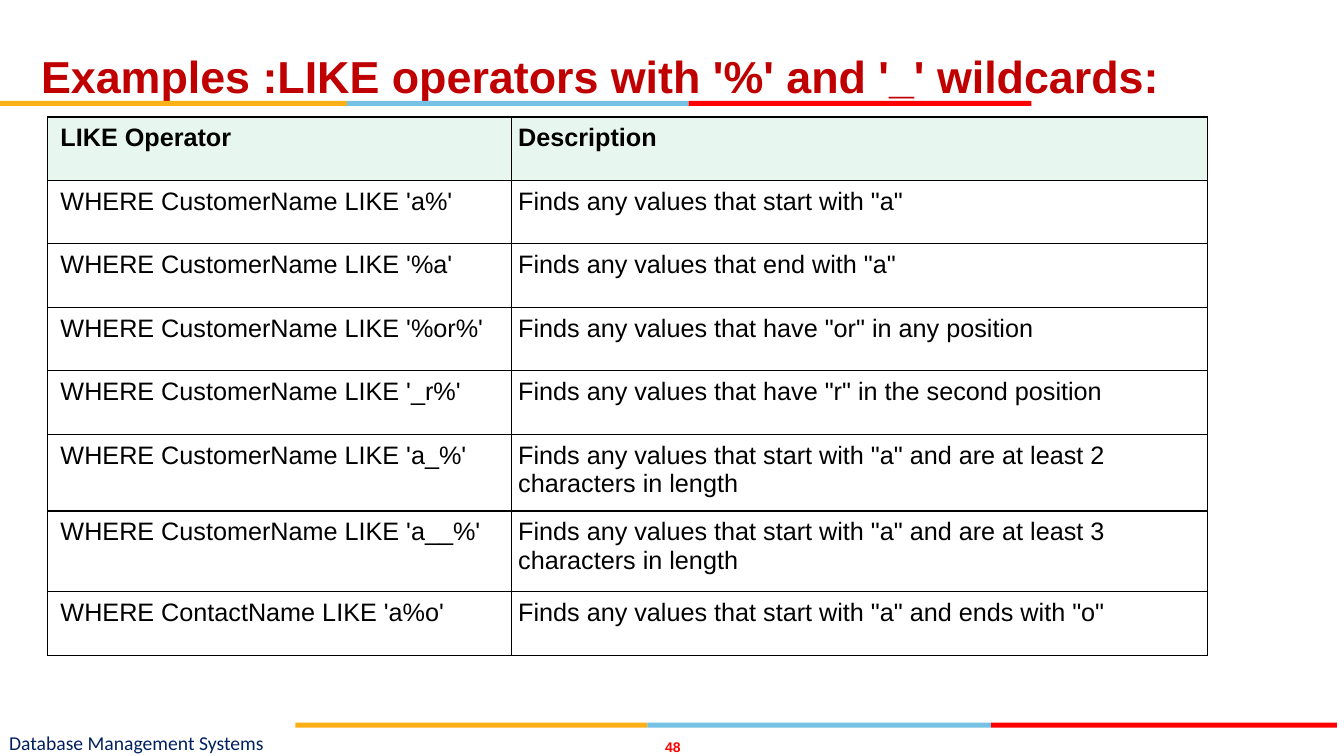
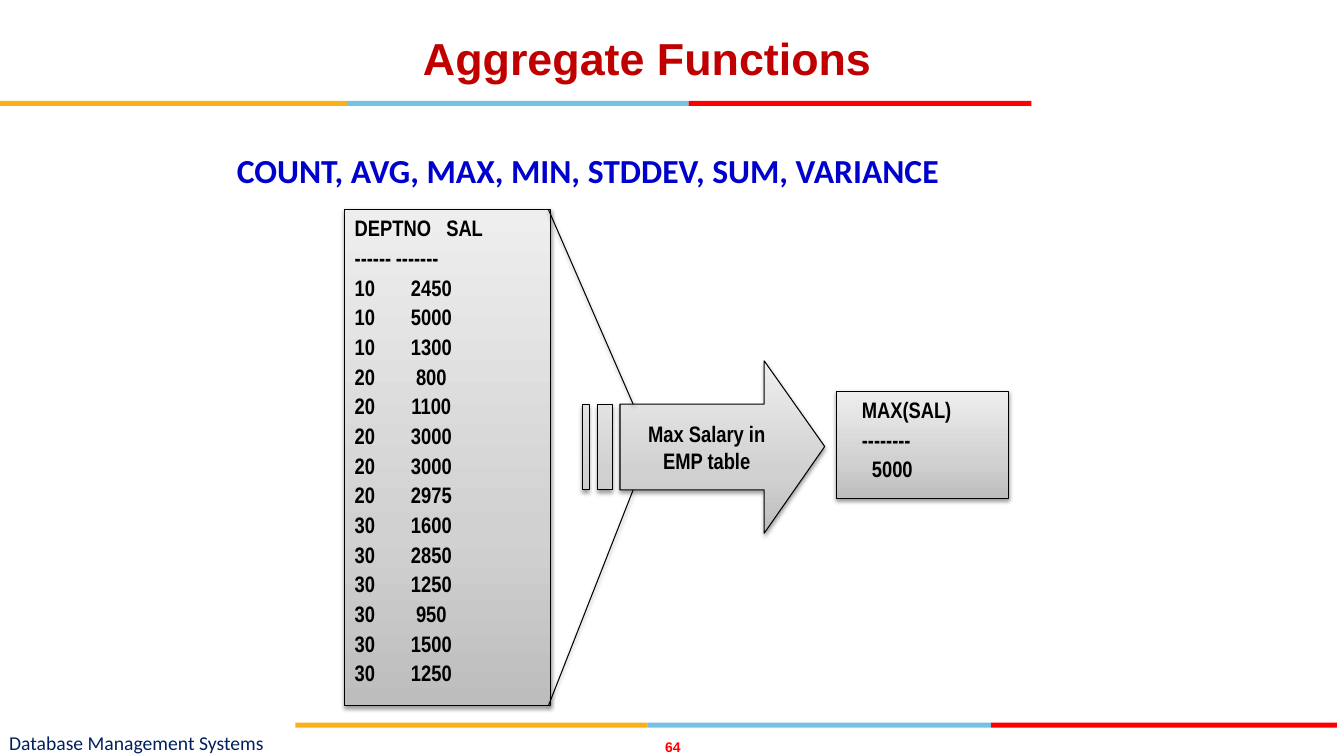
from copy import deepcopy

from pptx import Presentation
from pptx.dml.color import RGBColor
from pptx.enum.shapes import MSO_CONNECTOR, MSO_SHAPE
from pptx.enum.text import MSO_ANCHOR, PP_ALIGN
from pptx.oxml import parse_xml
from pptx.oxml.ns import nsdecls, qn
from pptx.util import Inches, Pt

AMBER = RGBColor(0xFC, 0xB0, 0x17)
SKY = RGBColor(0x76, 0xC2, 0xE5)
RED = RGBColor(0xFF, 0x00, 0x00)
CRIMSON = RGBColor(0xC0, 0x00, 0x00)
NAVY = RGBColor(0x00, 0x20, 0x60)
BLUE = RGBColor(0x00, 0x00, 0xCC)
BLACK = RGBColor(0x00, 0x00, 0x00)
WHITE = RGBColor(0xFF, 0xFF, 0xFF)
MINT = RGBColor(0xE7, 0xF6, 0xEF)
GREYS = (
    (0, RGBColor(0xBD, 0xBD, 0xBD)),
    (0.35, RGBColor(0xD1, 0xD1, 0xD1)),
    (1, RGBColor(0xEE, 0xEE, 0xEE)),
)

TITLE = {"name": "Arial", "size": Pt(32), "bold": True}
PAGE = {"name": "Arial", "size": Pt(10), "bold": True}
FOOT = {"name": "Calibri", "size": Pt(14), "bold": False}
LEAD = {"name": "Calibri", "size": Pt(24), "bold": True}
HEAD = {"name": "Arial", "size": Pt(18), "bold": True}
BODY = {"name": "Arial", "size": Pt(18), "bold": False}
DATA = {"name": "Arial Narrow", "size": Pt(16), "bold": True}

SHADOW = (
    f'<a:effectLst {nsdecls("a")}><a:outerShdw blurRad="39400" dist="20300" '
    'dir="5400000" rotWithShape="0"><a:srgbClr val="000000">'
    '<a:alpha val="38000"/></a:srgbClr></a:outerShdw></a:effectLst>'
)


def put(thing, form):
    for key, value in form.items():
        setattr(thing, key, value)


def pads(left, top, right, base):
    return {
        "margin_left": Inches(left), "margin_top": Inches(top),
        "margin_right": Inches(right), "margin_bottom": Inches(base),
    }


def place(*sizes):
    return [Inches(size) for size in sizes]


class Deck:
    def __init__(self):
        self.file = Presentation()
        put(self.file, {"slide_width": Inches(13.33), "slide_height": Inches(7.5)})
        self.slide = None

    def start(self, title, box, page):
        self.slide = self.file.slides.add_slide(self.file.slide_layouts[5])
        self.strip(1, (0, 3.44, 6.83, 10.23))
        self.strip(7.17, (2.93, 6.42, 9.83, 13.26))
        self.label(page, (6.51, 7.33, 0.33, 0.17), PAGE, RED, PP_ALIGN.CENTER)
        self.label("Database Management Systems", (0.09, 7.23, 4.96, 0.27), FOOT, NAVY)
        holder = self.slide.shapes.title
        put(holder, dict(zip(("left", "top", "width", "height"), place(*box))))
        put(holder.text_frame, {"word_wrap": True, "vertical_anchor": MSO_ANCHOR.TOP})
        self.words(holder.text_frame.paragraphs[0], title, TITLE, CRIMSON, PP_ALIGN.CENTER)

    def words(self, para, text, form, tint=BLACK, align=PP_ALIGN.LEFT):
        para.alignment = align
        run = para.add_run()
        run.text = text
        put(run.font, form)
        run.font.color.rgb = tint

    def strip(self, top, edges):
        for left, right, tint in zip(edges, edges[1:], (AMBER, SKY, RED)):
            band = self.slide.shapes.add_shape(
                MSO_SHAPE.RECTANGLE, *place(left, top, right - left, 0.05))
            band.shadow.inherit = False
            band.fill.solid()
            band.fill.fore_color.rgb = tint
            band.line.fill.background()

    def label(self, text, box, form, tint, align=PP_ALIGN.LEFT):
        frame = self.slide.shapes.add_textbox(*place(*box)).text_frame
        put(frame, pads(0, 0, 0, 0))
        put(frame, {"word_wrap": True, "vertical_anchor": MSO_ANCHOR.MIDDLE})
        self.words(frame.paragraphs[0], text, form, tint, align)

    def edge(self, shape):
        shape.line.color.rgb = BLACK
        shape.line.width = Pt(0.75)
        shape._element.spPr.append(parse_xml(SHADOW))

    def shade(self, shape):
        shape.fill.gradient()
        shape.fill.gradient_angle = 90
        stop = shape._element.spPr.find(".//" + qn("a:gs"))
        stop.addnext(deepcopy(stop))
        for step, (spot, tint) in zip(shape.fill.gradient_stops, GREYS):
            step.position = spot
            step.color.rgb = tint
        self.edge(shape)

    def panel(self, box, lines):
        shape = self.slide.shapes.add_shape(MSO_SHAPE.RECTANGLE, *place(*box))
        self.shade(shape)
        frame = shape.text_frame
        put(frame, {"word_wrap": True, "vertical_anchor": MSO_ANCHOR.TOP})
        for index, (text, indent, tab) in enumerate(lines):
            para = frame.add_paragraph() if index else frame.paragraphs[0]
            self.words(para, text, DATA)
            put(para, {"space_before": Pt(1), "space_after": Pt(1)})
            props = para._p.get_or_add_pPr()
            props.set("marL", str(Inches(indent)))
            if tab:
                props.append(parse_xml(
                    f'<a:tabLst {nsdecls("a")}>'
                    f'<a:tab pos="{Inches(tab)}" algn="ctr"/></a:tabLst>'))

    def arrow(self, text, paths):
        first, *rest = [[place(*spot) for spot in path] for path in paths]
        pen = self.slide.shapes.build_freeform(*first[0], scale=1.0)
        pen.add_line_segments(first[1:], close=True)
        for path in rest:
            pen.move_to(*path[0])
            pen.add_line_segments(path[1:], close=True)
        shape = pen.convert_to_shape()
        self.shade(shape)
        frame = shape.text_frame
        put(frame, pads(0.56, 0.05, 0.5, 0.05))
        put(frame, {"word_wrap": True, "vertical_anchor": MSO_ANCHOR.MIDDLE})
        self.words(frame.paragraphs[0], text, DATA, align=PP_ALIGN.CENTER)

    def line(self, *ends):
        self.edge(self.slide.shapes.add_connector(MSO_CONNECTOR.STRAIGHT, *place(*ends)))

    def grid(self, spot, wides, highs, rows):
        box = place(*spot, sum(wides), sum(highs))
        table = self.slide.shapes.add_table(len(rows), len(wides), *box).table
        put(table, {"first_row": False, "horz_banding": False})
        for col, wide in zip(table.columns, wides):
            col.width = Inches(wide)
        for index, (row, high, texts) in enumerate(zip(table.rows, highs, rows)):
            row.height = Inches(high)
            for cell, text, left in zip(row.cells, texts, (0.13, 0.07)):
                self.cell(cell, text, left, *((BODY, WHITE) if index else (HEAD, MINT)))

    def cell(self, cell, text, left, form, tint):
        put(cell, pads(left, 0.07, 0.07, 0.07))
        props = cell._tc.get_or_add_tcPr()
        for side in "LRTB":
            props.append(parse_xml(
                f'<a:ln{side} {nsdecls("a")} w="{Pt(1)}"><a:solidFill>'
                f'<a:srgbClr val="{BLACK}"/></a:solidFill></a:ln{side}>'))
        cell.fill.solid()
        cell.fill.fore_color.rgb = tint
        self.words(cell.text_frame.paragraphs[0], text, form)


def main():
    deck = Deck()

    deck.start("Examples :LIKE operators with '%' and '_' wildcards:",
               (0.21, 0.43, 11.5, 0.6), "48")
    where = "WHERE CustomerName LIKE "
    finds = "Finds any values that "
    deck.grid((0.47, 1.16), (4.6, 6.91), [0.63] * 5 + [0.76, 0.8, 0.63], (
        ("LIKE Operator", "Description"),
        (where + "'a%'", finds + 'start with "a"'),
        (where + "'%a'", finds + 'end with "a"'),
        (where + "'%or%'", finds + 'have "or" in any position'),
        (where + "'_r%'", finds + 'have "r" in the second position'),
        (where + "'a_%'", finds + 'start with "a" and are at least 2 characters in length'),
        (where + "'a__%'", finds + 'start with "a" and are at least 3 characters in length'),
        ("WHERE ContactName LIKE 'a%o'", finds + 'start with "a" and ends with "o"'),
    ))

    deck.start("Aggregate Functions", (0.67, 0.25, 11.5, 1.45), "64")
    deck.label("COUNT, AVG, MAX, MIN, STDDEV, SUM, VARIANCE",
               (2.35, 1.48, 9.13, 0.42), LEAD, BLUE)
    staff = (
        (10, (2450, 5000, 1300)),
        (20, (800, 1100, 3000, 3000, 2975)),
        (30, (1600, 2850, 1250, 950, 1500, 1250)),
    )
    lines = [("DEPTNO\tSAL", 0, 1.09), ("------\t-------", 0, 0.62)]
    lines += [(f"{dept}\t{pay}", 0, 0.76) for dept, pays in staff for pay in pays]
    deck.panel((3.42, 2.08, 2.04, 4.92), lines)
    deck.panel((8.3, 3.88, 1.7, 1.07),
               (("MAX(SAL)", 0.15, 0), ("--------", 0.15, 0), ("5000", 0.25, 0)))
    top, base = 4.01, 4.86
    head = ((7.58, 3.58), (7.58, top), (6.15, top), (6.15, base),
            (7.58, base), (7.58, 5.29), (8.18, 4.43))
    bars = [((left, top), (left, base), (right, base), (right, top))
            for left, right in ((5.93, 6.08), (5.78, 5.85))]
    deck.arrow("Max Salary in EMP table", (head, *bars))
    deck.line(5.44, 2.08, 6.28, top)
    deck.line(5.44, 7, 6.28, base)

    deck.file.save("out.pptx")


if __name__ == "__main__":
    main()
